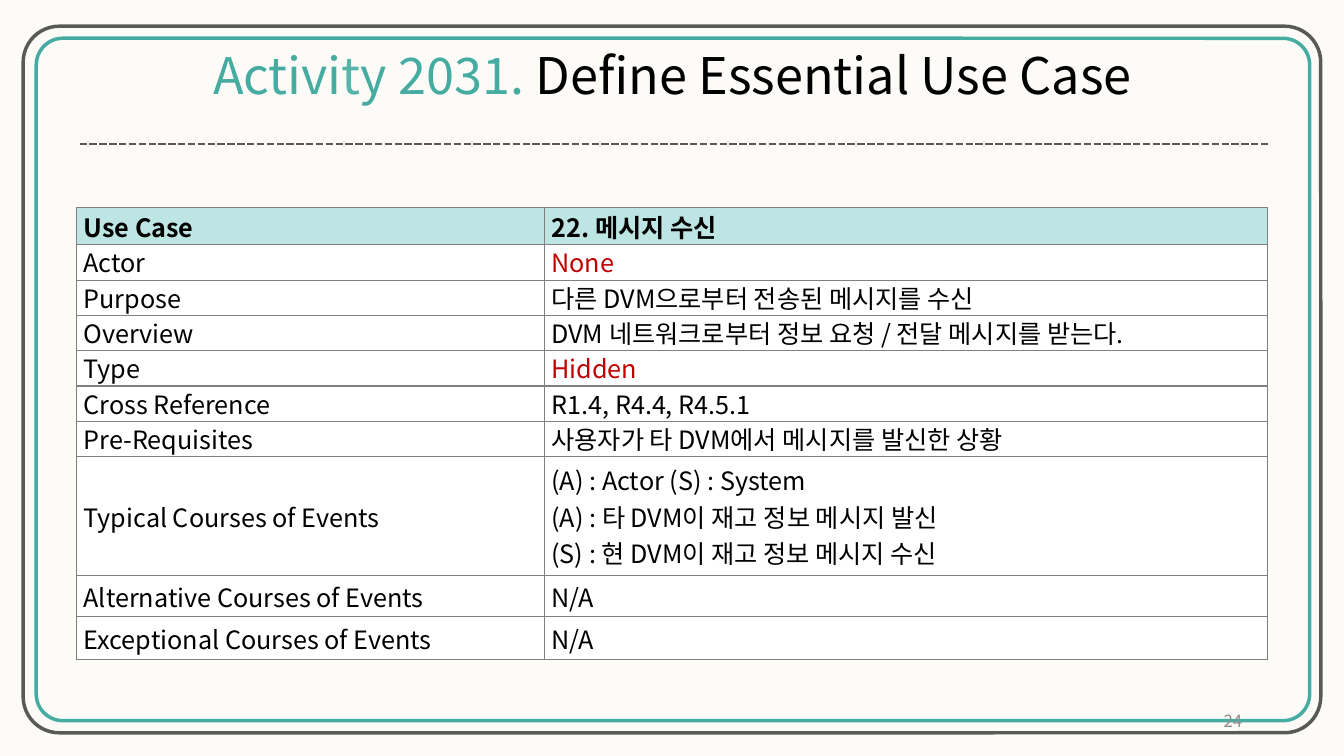
"""Build the essential use case slide with its framed title and table."""
from lxml.etree import SubElement
from pptx import Presentation
from pptx.dml.color import RGBColor
from pptx.enum.dml import MSO_LINE
from pptx.enum.shapes import MSO_CONNECTOR, MSO_SHAPE
from pptx.enum.text import MSO_ANCHOR, PP_ALIGN
from pptx.oxml.ns import qn
from pptx.util import Inches, Pt

FONT = "Noto Sans CJK KR"
TEAL = RGBColor(0x46, 0xAC, 0xA1)
PALE = RGBColor(0x57, 0xB4, 0xA9)
MINT = RGBColor(0xBD, 0xE5, 0xE3)
CREAM = RGBColor(0xFC, 0xFB, 0xF7)
WHITE = RGBColor(0xFF, 0xFF, 0xFF)
BLACK = RGBColor(0, 0, 0)
RED = RGBColor(0xC0, 0, 0)
DARK = RGBColor(0x59, 0x59, 0x59)
GRAY = RGBColor(0x8C, 0x8C, 0x8C)
EDGE = "808080"

TITLE = [("Activi", TEAL), ("t", PALE), ("y 2031. ", TEAL),
         ("Define Essential Use Case", BLACK)]
PAGE = [("24", GRAY)]
FRAMES = [((0.36, 0.38, 12.63, 6.77), 0.039, TEAL),
          ((0.23, 0.26, 12.87, 7.01), 0.051, DARK)]
ROWS = [
    ("Use Case", "22. 메시지 수신", 0.37),
    ("Actor", "None", 0.35),
    ("Purpose", "다른 DVM으로부터 전송된 메시지를 수신", 0.35),
    ("Overview", "DVM 네트워크로부터 정보 요청 / 전달 메시지를 받는다.", 0.35),
    ("Type", "Hidden", 0.35),
    ("Cross Reference", "R1.4, R4.4, R4.5.1", 0.35),
    ("Pre-Requisites", "사용자가 타 DVM에서 메시지를 발신한 상황", 0.35),
    ("Typical Courses of Events",
     "(A) : Actor (S) : System\n"
     "(A) : 타 DVM이 재고 정보 메시지 발신\n"
     "(S) : 현 DVM이 재고 정보 메시지 수신", 1.18),
    ("Alternative Courses of Events", "N/A", 0.41),
    ("Exceptional Courses of Events", "N/A", 0.42),
]
COLS = (4.64, 7.17)
RED_TEXT = ("None", "Hidden")


def box(*sides):
    return [Inches(side) for side in sides]


def style(run, size, color, bold=False):
    font = run.font
    font.name, font.size, font.bold = FONT, Pt(size), bold
    font.color.rgb = color
    SubElement(font._element, qn("a:ea"), typeface=FONT)


def label(place, parts, size, align, anchor, wrap):
    frame = slide.shapes.add_textbox(*box(*place)).text_frame
    frame.word_wrap, frame.vertical_anchor = wrap, anchor
    para = frame.paragraphs[0]
    para.alignment = align
    for text, color in parts:
        run = para.add_run()
        run.text = text
        style(run, size, color)


def border(cell):
    props = cell._tc.get_or_add_tcPr()
    for spot, side in enumerate(("lnL", "lnR", "lnT", "lnB")):
        line = SubElement(props, qn("a:" + side), w=str(Pt(1)))
        fill = SubElement(line, qn("a:solidFill"))
        SubElement(fill, qn("a:srgbClr"), val=EDGE)
        props.insert(spot, line)


def fill_cell(cell, text, head, tight):
    cell.text_frame.text = text
    cell.vertical_anchor = MSO_ANCHOR.MIDDLE
    cell.margin_left = cell.margin_right = Inches(0.07)
    cell.margin_top = cell.margin_bottom = 0
    cell.fill.solid()
    cell.fill.fore_color.rgb = MINT if head else WHITE
    for para in cell.text_frame.paragraphs:
        if tight:
            para.line_spacing = 0.95
        for run in para.runs:
            style(run, 18, RED if text in RED_TEXT else BLACK, head)
    border(cell)


deck = Presentation()
deck.slide_width, deck.slide_height = box(13.33, 7.5)
slide = deck.slides.add_slide(deck.slide_layouts[6])
slide.background.fill.solid()
slide.background.fill.fore_color.rgb = CREAM

label((2.01, 0.39, 9.32, 0.71), TITLE, 36, PP_ALIGN.CENTER,
      MSO_ANCHOR.TOP, False)

for place, bend, color in FRAMES:
    frame = slide.shapes.add_shape(MSO_SHAPE.ROUNDED_RECTANGLE, *box(*place))
    frame.adjustments[0] = bend
    frame.shadow.inherit = False
    frame.fill.background()
    frame.line.color.rgb, frame.line.width = color, Pt(2.5)

rule = slide.shapes.add_connector(MSO_CONNECTOR.STRAIGHT,
                                  *box(0.79, 1.43, 12.6, 1.43))
rule.line.color.rgb, rule.line.width = DARK, Pt(1.75)
rule.line.dash_style = MSO_LINE.SQUARE_DOT
SubElement(rule._element.spPr, qn("a:effectLst"))

table = slide.shapes.add_table(len(ROWS), len(COLS),
                               *box(0.76, 2.06, 11.81, 4.46)).table
for col, width in zip(table.columns, COLS):
    col.width = Inches(width)
for index, (name, value, height) in enumerate(ROWS):
    table.rows[index].height = Inches(height)
    for cell, text in zip(table.rows[index].cells, (name, value)):
        fill_cell(cell, text, index == 0, height < 0.36)

label((9.42, 6.95, 3, 0.4), PAGE, 12, PP_ALIGN.RIGHT,
      MSO_ANCHOR.MIDDLE, True)

deck.save("out.pptx")
